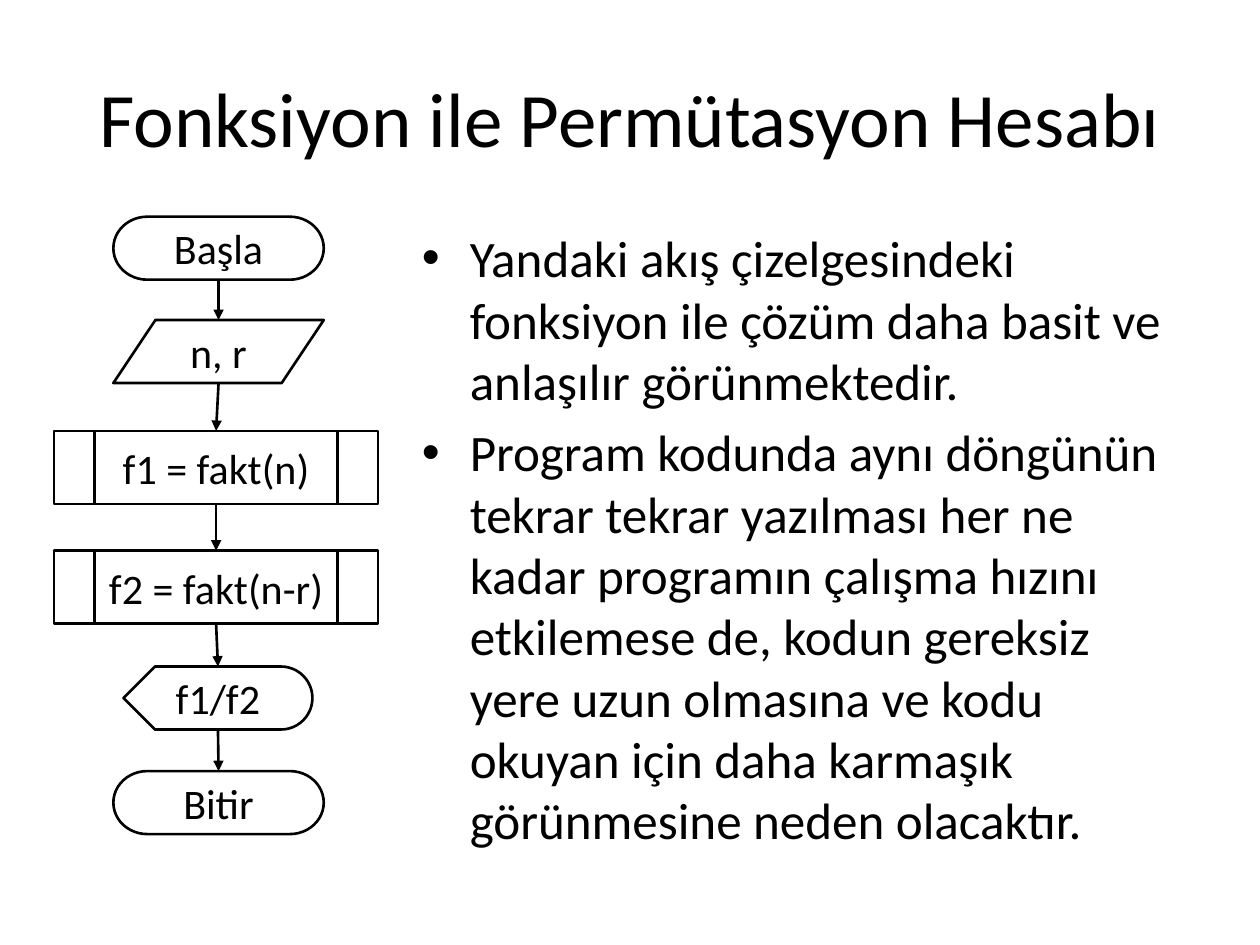
import pptx
import pptx.util
import pptx.dml.color
import pptx.enum.shapes
import pptx.enum.text
import pptx.oxml.ns
from lxml import etree

Inches, Pt = pptx.util.Inches, pptx.util.Pt
SHAPE = pptx.enum.shapes.MSO_SHAPE
ALIGN = pptx.enum.text.PP_ALIGN
ANCHOR = pptx.enum.text.MSO_ANCHOR
qn = pptx.oxml.ns.qn


class FlowSlide:
    """Draws the title, bullets and flowchart parts of one slide in a shared style."""

    colors = {"ink": "000000", "paper": "FFFFFF"}
    font = "Calibri"
    line_width = 1.5

    def __init__(self, prs):
        self.slide = prs.slides.add_slide(prs.slide_layouts[6])
        fill = self.slide.background.fill
        fill.solid()
        fill.fore_color.rgb = self.color("paper")

    def color(self, name):
        return pptx.dml.color.RGBColor.from_string(self.colors[name])

    def put_text(self, tf, lines, size, wrap=True, anchor=ANCHOR.MIDDLE, **para):
        for name, value in {"word_wrap": wrap, "vertical_anchor": anchor}.items():
            setattr(tf, name, value)
        for i, text in enumerate(lines):
            p = tf.paragraphs[0] if i == 0 else tf.add_paragraph()
            for name, value in para.items():
                setattr(p, name, value)
            r = p.add_run()
            r.text = text
            for name, value in {"name": self.font, "size": Pt(size)}.items():
                setattr(r.font, name, value)
            r.font.color.rgb = self.color("ink")

    def text(self, box, lines, size, **style):
        sp = self.slide.shapes.add_textbox(*map(Inches, box))
        self.put_text(sp.text_frame, lines, size, **style)
        return sp

    def bullets(self, box, lines, size, indent):
        sp = self.text(box, lines, size, anchor=ANCHOR.TOP, space_before=Pt(size * 0.2))
        for p in sp.text_frame.paragraphs:
            pPr = p._p.get_or_add_pPr()
            pPr.set("marL", str(Inches(indent)))
            pPr.set("indent", str(-Inches(indent)))
            etree.SubElement(pPr, qn("a:buFont"), typeface="Arial")
            etree.SubElement(pPr, qn("a:buChar"), char="•")

    def outline(self, sp):
        sp.line.color.rgb = self.color("ink")
        sp.line.width = Pt(self.line_width)

    def step(self, kind, box, label):
        sp = self.slide.shapes.add_shape(kind, *map(Inches, box))
        sp.shadow.inherit = False
        sp.fill.background()
        self.outline(sp)
        self.put_text(sp.text_frame, [label], 24, wrap=False, alignment=ALIGN.CENTER)
        return sp

    def arrow(self, above, below):
        ends = (above.left + above.width // 2, above.top + above.height,
                below.left + below.width // 2, below.top)
        cx = self.slide.shapes.add_connector(
            pptx.enum.shapes.MSO_CONNECTOR.STRAIGHT, *ends)
        self.outline(cx)
        spPr = cx._element.spPr
        etree.SubElement(spPr.find(qn("a:ln")), qn("a:tailEnd"), type="triangle")
        etree.SubElement(spPr, qn("a:effectLst"))


prs = pptx.Presentation()
prs.slide_width, prs.slide_height = Inches(10), Inches(7.5)
s = FlowSlide(prs)

s.text((0.5, 0.3, 9, 1.25), ["Fonksiyon ile Permütasyon Hesabı"], 44,
       alignment=ALIGN.CENTER)
s.bullets((3.25, 1.75, 6.25, 4.95), [
    "Yandaki akış çizelgesindeki fonksiyon ile çözüm daha basit ve "
    "anlaşılır görünmektedir.",
    "Program kodunda aynı döngünün tekrar tekrar yazılması her ne kadar "
    "programın çalışma hızını etkilemese de, kodun gereksiz yere uzun "
    "olmasına ve kodu okuyan için daha karmaşık görünmesine neden olacaktır.",
], 29.2, 0.38)

steps = [s.step(*item) for item in (
    (SHAPE.FLOWCHART_TERMINATOR, (0.9, 1.72, 1.67, 0.5), "Başla"),
    (SHAPE.FLOWCHART_DATA, (0.9, 2.54, 1.67, 0.5), "n, r"),
    (SHAPE.FLOWCHART_PREDEFINED_PROCESS, (0.43, 3.42, 2.57, 0.58), "f1 = fakt(n)"),
    (SHAPE.FLOWCHART_PREDEFINED_PROCESS, (0.43, 4.37, 2.57, 0.58), "f2 = fakt(n-r)"),
    (SHAPE.FLOWCHART_DISPLAY, (0.98, 5.29, 1.5, 0.5), "f1/f2"),
    (SHAPE.FLOWCHART_TERMINATOR, (0.9, 6.12, 1.67, 0.5), "Bitir"),
)]
for above, below in zip(steps, steps[1:]):
    s.arrow(above, below)

prs.save("out.pptx")
